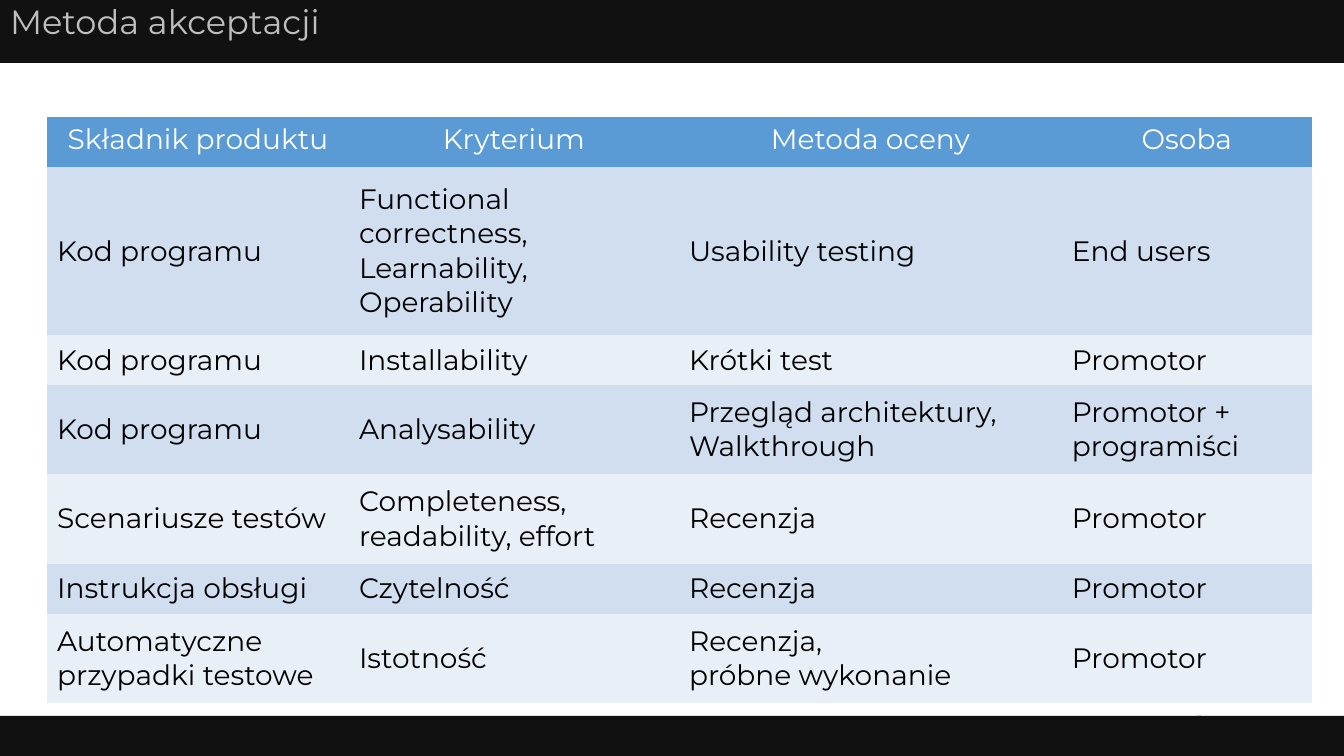
from pptx import Presentation
from pptx.dml.color import RGBColor
from pptx.enum.shapes import MSO_SHAPE as Shape
from pptx.enum.text import MSO_ANCHOR as Anchor, MSO_AUTO_SIZE as AutoSize, PP_ALIGN as Align
from pptx.oxml.ns import qn
from pptx.util import Emu, Pt

EMU_PER_PX = 12192000 / 1344
WIDTH, HEIGHT = 1344, 756
BAR, INK, TITLE_GREY = "111111", "000000", "BFBFBF"
HEADER_BLUE, BANDS = "5B9BD5", ("D1DEEF", "E9EFF7")
FONT = "Montserrat"
NO_GRID_STYLE = "{2D5ABB26-0587-4C30-8999-92F81FD0307C}"

COLUMNS = [302, 330, 383, 250]
ROWS = [50, 168, 50, 89, 90, 50, 89]
CRITERIA = [
    ["Składnik produktu", "Kryterium", "Metoda oceny", "Osoba"],
    ["Kod programu", "Functional correctness,\nLearnability,\nOperability",
     "Usability testing", "End users"],
    ["Kod programu", "Installability", "Krótki test", "Promotor"],
    ["Kod programu", "Analysability", "Przegląd architektury,\nWalkthrough",
     "Promotor + programiści"],
    ["Scenariusze testów", "Completeness, readability, effort", "Recenzja", "Promotor"],
    ["Instrukcja obsługi", "Czytelność", "Recenzja", "Promotor"],
    ["Automatyczne przypadki testowe", "Istotność",
     "Recenzja,\npróbne wykonanie", "Promotor"],
]


def px(length):
    return Emu(round(length * EMU_PER_PX))


def colour(hex_value):
    return RGBColor.from_string(hex_value)


def paint(target, hex_value):
    target.fill.solid()
    target.fill.fore_color.rgb = colour(hex_value)


def write(frame, text, size, ink, align=Align.LEFT):
    for index, line in enumerate(text.split("\n")):
        paragraph = frame.add_paragraph() if index else frame.paragraphs[0]
        paragraph.alignment = align
        run = paragraph.add_run()
        run.text = line
        run.font.size = Pt(size)
        run.font.name = FONT
        run.font.bold = False
        run.font.color.rgb = colour(ink)


def set_title(slide, left, top, width, height):
    title = slide.shapes.title
    title.left, title.top, title.width, title.height = map(px, (left, top, width, height))
    paint(title, BAR)
    frame = title.text_frame
    frame.auto_size = AutoSize.NONE
    frame.vertical_anchor = Anchor.TOP
    write(frame, "Metoda akceptacji", 24, TITLE_GREY)
    frame.paragraphs[0].line_spacing = 0.9
    frame.paragraphs[0].space_before = Pt(0)


def add_footer(slide, left, top, width, height):
    number_width, overlap = 147, 5
    number_left = left + width - number_width
    for part_left, part_width in [(left, width - number_width + overlap),
                                  (number_left, number_width)]:
        bar = slide.shapes.add_shape(
            Shape.RECTANGLE, px(part_left), px(top), px(part_width), px(height))
        bar.shadow.inherit = False
        paint(bar, BAR)
        bar.line.fill.background()


def add_criteria(slide, left, top):
    table = slide.shapes.add_table(
        len(ROWS), len(COLUMNS), px(left), px(top), px(sum(COLUMNS)), px(sum(ROWS))).table
    table._tbl.tblPr.find(qn("a:tableStyleId")).text = NO_GRID_STYLE
    for column, width in zip(table.columns, COLUMNS):
        column.width = px(width)
    for row_index, (row, height, texts) in enumerate(zip(table.rows, ROWS, CRITERIA)):
        row.height = px(height)
        for cell, text in zip(row.cells, texts):
            if row_index == 0:
                paint(cell, HEADER_BLUE)
                cell.vertical_anchor = Anchor.TOP
                write(cell.text_frame, text, 20, "FFFFFF", Align.CENTER)
            else:
                paint(cell, BANDS[(row_index - 1) % 2])
                cell.vertical_anchor = Anchor.MIDDLE
                write(cell.text_frame, text, 20, INK)


def main():
    deck = Presentation()
    deck.slide_width, deck.slide_height = px(WIDTH), px(HEIGHT)
    slide = deck.slides.add_slide(deck.slide_layouts[5])
    set_title(slide, 0, 0, WIDTH, 63)
    add_footer(slide, 0, 716, WIDTH, 40)
    add_criteria(slide, 47, 117)
    deck.save("out.pptx")


if __name__ == "__main__":
    main()
